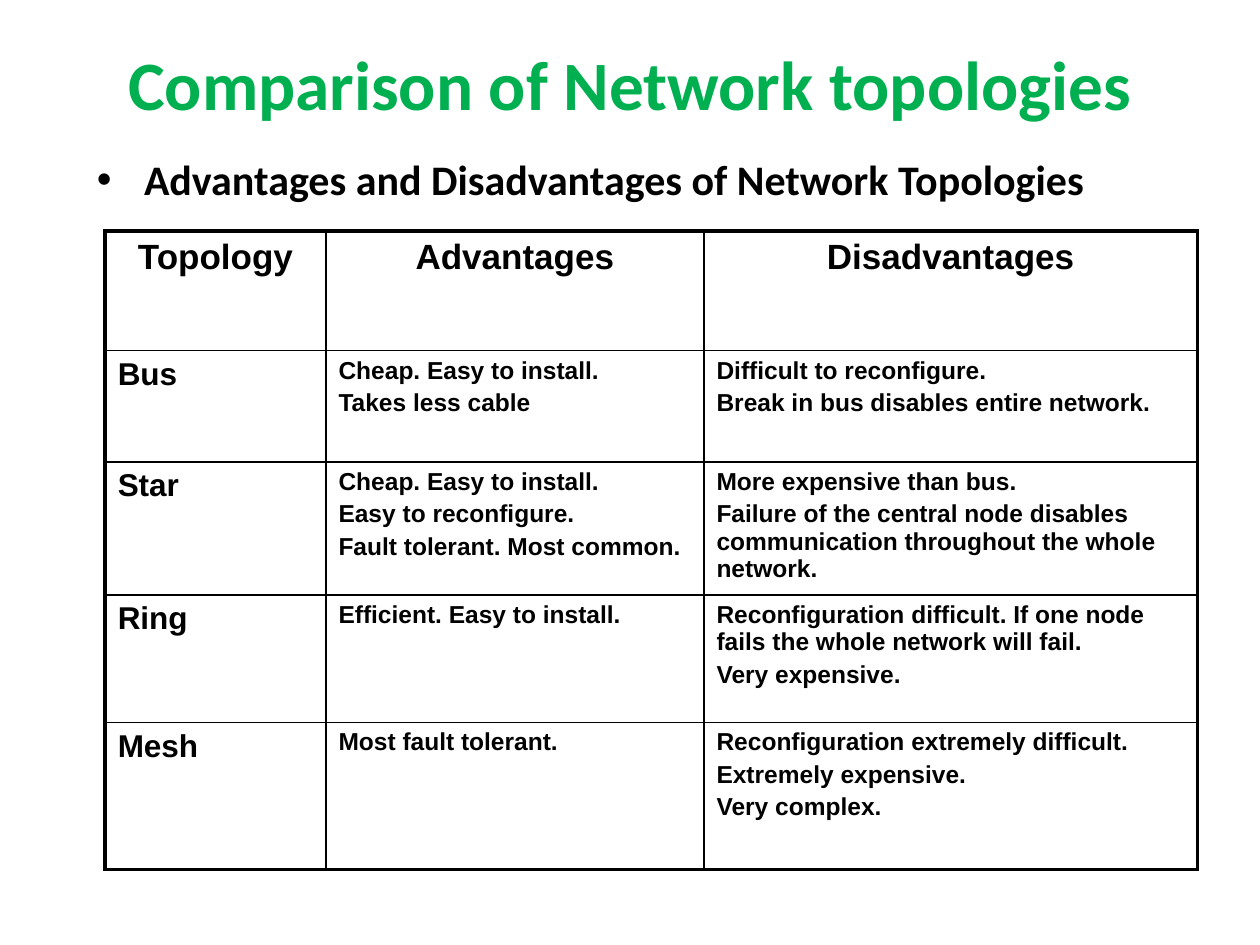
from dataclasses import dataclass

from pptx import Presentation
from pptx.dml.color import RGBColor
from pptx.enum.text import MSO_ANCHOR, MSO_AUTO_SIZE, PP_ALIGN as Align
from pptx.oxml.ns import qn
from pptx.util import Cm, Pt
from lxml.etree import SubElement


@dataclass(frozen=True)
class Theme:
    title_color: str = "00B050"
    ink: str = "000000"
    heading_font: str = "Calibri"
    table_font: str = "Arial"
    title: float = 39.6
    lead: float = 24
    header: float = 20
    topology: float = 18
    detail: float = 14
    outer_line: float = 2.25
    inner_line: float = 1


THEME = Theme()

COLUMN_WIDTHS = (4.45, 7.62, 9.95)
ROW_HEIGHTS = (2.41, 2.24, 2.68, 2.57, 2.97)
HEADERS = ("Topology", "Advantages", "Disadvantages")
TOPOLOGIES = (
    ("Bus",
     ("Cheap. Easy to install.", "Takes less cable"),
     ("Difficult to reconfigure.", "Break in bus disables entire network.")),
    ("Star",
     ("Cheap. Easy to install.", "Easy to reconfigure.",
      "Fault tolerant. Most common."),
     ("More expensive than bus.",
      "Failure of the central node disables communication "
      "throughout the whole network.")),
    ("Ring",
     ("Efficient. Easy to install.",),
     ("Reconfiguration difficult. If one node fails the whole network "
      "will fail.", "Very expensive.")),
    ("Mesh",
     ("Most fault tolerant.",),
     ("Reconfiguration extremely difficult.", "Extremely expensive.",
      "Very complex.")),
)


def write(tf, lines, size, font=THEME.table_font, color=THEME.ink,
          align=Align.LEFT, before=0.2):
    """Fill a text frame with bold paragraphs; before is a share of the size."""
    for i, line in enumerate(lines):
        p = tf.paragraphs[0] if i == 0 else tf.add_paragraph()
        p.alignment = align
        p.space_before = Pt(size * before)
        r = p.add_run()
        r.text = line
        r.font.name, r.font.size, r.font.bold = font, Pt(size), True
        r.font.color.rgb = RGBColor.from_string(color)


def place(sp, box):
    sp.left, sp.top, sp.width, sp.height = (Cm(v) for v in box)
    sp.text_frame.auto_size = MSO_AUTO_SIZE.NONE
    sp.text_frame.word_wrap = True


def add_title(slide, box):
    sp = slide.shapes.title
    place(sp, box)
    sp.text_frame.vertical_anchor = MSO_ANCHOR.MIDDLE
    write(sp.text_frame, ["Comparison of Network topologies"], THEME.title,
          font=THEME.heading_font, color=THEME.title_color,
          align=Align.CENTER, before=0)


def add_lead(slide, box):
    sp = slide.placeholders[1]
    place(sp, box)
    write(sp.text_frame, ["Advantages and Disadvantages of Network Topologies"],
          THEME.lead, font=THEME.heading_font)
    # Hanging bullet
    pPr = sp.text_frame.paragraphs[0]._p.get_or_add_pPr()
    pPr.set("marL", str(Cm(0.95)))
    pPr.set("indent", str(Cm(-0.95)))
    SubElement(pPr, qn("a:buFont"), typeface="Arial")
    SubElement(pPr, qn("a:buChar"), char="•")


def set_borders(cell, outer):
    """Draw all four sides, thicker where the side is on the table's edge."""
    tcPr = cell._tc.get_or_add_tcPr()
    for i, (side, is_outer) in enumerate(outer.items()):
        width = THEME.outer_line if is_outer else THEME.inner_line
        ln = tcPr.makeelement(qn(f"a:ln{side}"), {"w": str(Pt(width))})
        fill = SubElement(ln, qn("a:solidFill"))
        SubElement(fill, qn("a:srgbClr"), val=THEME.ink)
        tcPr.insert(i, ln)


def add_comparison(slide, box):
    rows = [[(h,) for h in HEADERS]]
    rows += [[(name,), pros, cons] for name, pros, cons in TOPOLOGIES]
    last_row, last_col = len(rows) - 1, len(HEADERS) - 1
    table = slide.shapes.add_table(len(rows), len(HEADERS),
                                   *(Cm(v) for v in box)).table
    table.first_row = table.horz_banding = False
    for col, width in zip(table.columns, COLUMN_WIDTHS):
        col.width = Cm(width)
    for row, height in zip(table.rows, ROW_HEIGHTS):
        row.height = Cm(height)

    for y, row in enumerate(rows):
        for x, lines in enumerate(row):
            cell = table.cell(y, x)
            cell.fill.background()
            set_borders(cell, {"L": x == 0, "R": x == last_col,
                               "T": y == 0, "B": y == last_row})
            if y == 0:
                write(cell.text_frame, lines, THEME.header, align=Align.CENTER)
            else:
                size = THEME.topology if x == 0 else THEME.detail
                write(cell.text_frame, lines, size)


def main():
    prs = Presentation()
    prs.slide_width, prs.slide_height = Cm(25.4), Cm(19.05)
    slide = prs.slides.add_slide(prs.slide_layouts[1])
    add_title(slide, (1.27, 0.43, 22.86, 2.46))
    add_lead(slide, (1.7, 2.97, 22.02, 12.27))
    add_comparison(slide, (2.12, 4.66, sum(COLUMN_WIDTHS), sum(ROW_HEIGHTS)))
    prs.save("out.pptx")


if __name__ == "__main__":
    main()
